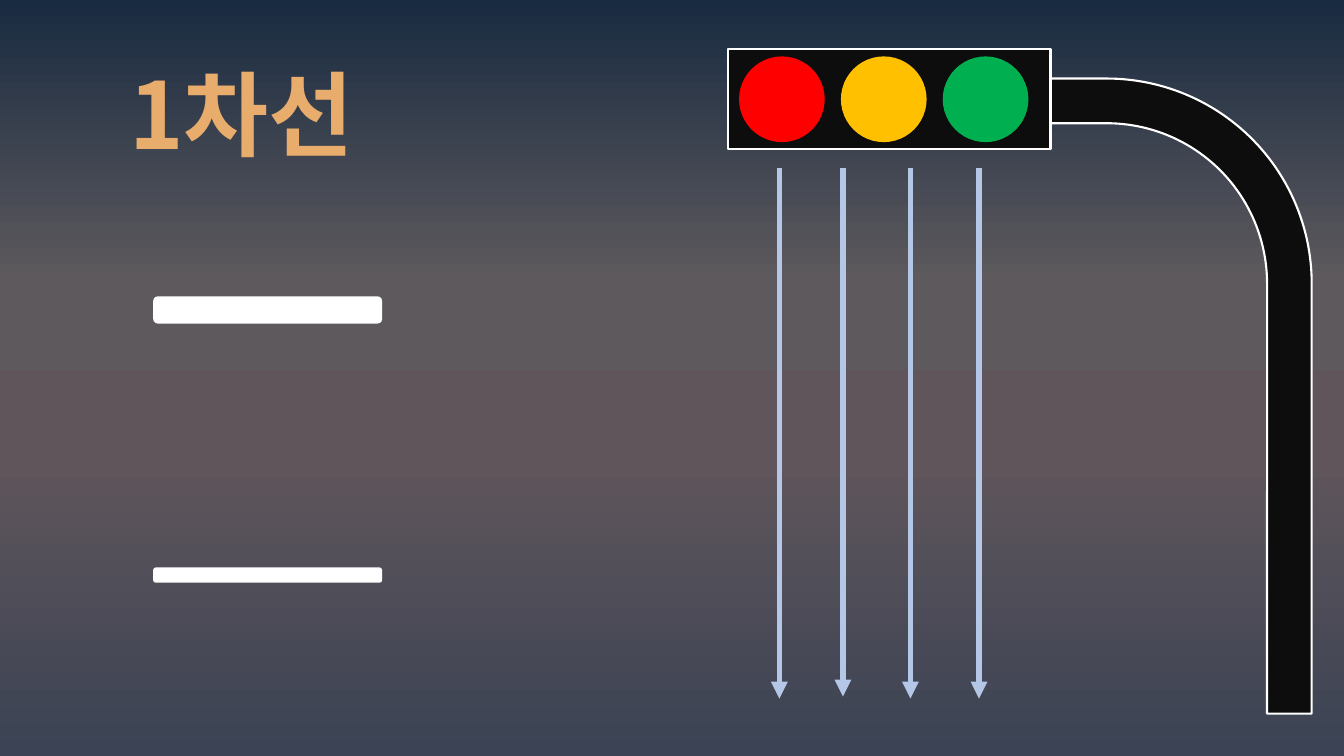
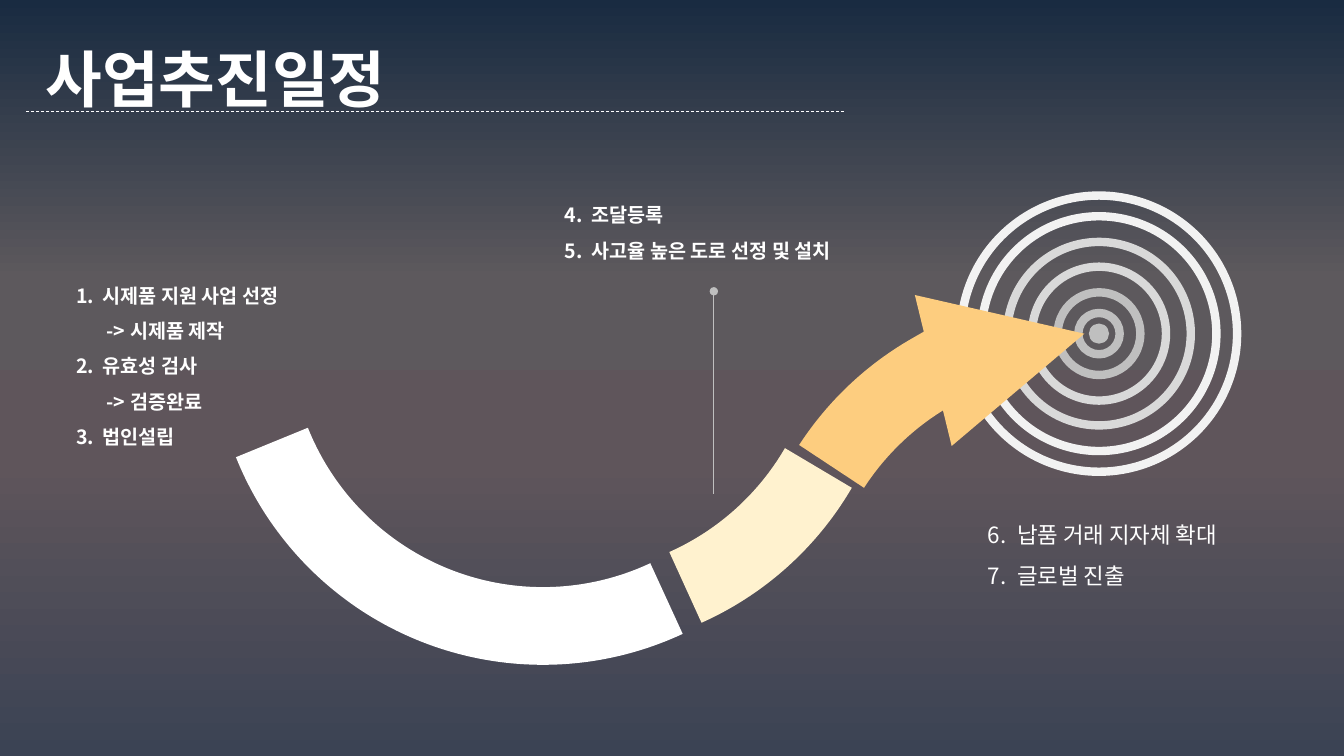
from lxml.etree import SubElement
from pptx import Presentation
from pptx.dml.color import RGBColor
from pptx.enum.dml import MSO_LINE
from pptx.enum.shapes import MSO_CONNECTOR, MSO_SHAPE
from pptx.enum.text import MSO_ANCHOR, MSO_AUTO_SIZE, PP_ALIGN
from pptx.oxml.ns import qn
from pptx.util import Inches, Pt

FONT = "Noto Sans CJK KR"
WHITE = "FFFFFF"
BLACK = "0D0D0D"
ORANGE = "E8AC6C"
GRAY = "BFBFBF"
LIGHT_BLUE = "B4C7E7"
BACKGROUND = [(0, "192B41"), (37, "5D595D"), (61, "5F555B"), (100, "3B4354")]
TITLE_ONLY = 5
ARC_UNITS_PER_DEGREE = 0.6


def color(value):
    """Turn a hex string into a colour."""
    return RGBColor.from_string(value)


def place(shape, left, top, width, height):
    """Set the position and size of a shape in inches."""
    shape.left, shape.top = Inches(left), Inches(top)
    shape.width, shape.height = Inches(width), Inches(height)


def set_background(master):
    """Give the master a vertical gradient that all slides inherit."""
    fill = master.background.fill
    fill.gradient()
    fill.gradient_angle = 270
    stops = master._element.find(".//" + qn("a:gsLst"))
    for stop in list(stops):
        stops.remove(stop)
    for position, value in BACKGROUND:
        stop = SubElement(stops, qn("a:gs"), pos=str(position * 1000))
        SubElement(stop, qn("a:srgbClr"), val=value)


def format_line(line, value, width, dash=None, end=None, end_size="med"):
    """Format an outline, with an optional dash and end mark."""
    line.color.rgb = color(value)
    line.width = Pt(width)
    if dash:
        line.dash_style = dash
    if end:
        SubElement(line._get_or_add_ln(), qn("a:tailEnd"), type=end, w=end_size, len=end_size)


def add_shape(shapes, kind, box, fill=None, adjustments=(), **line_format):
    """Add a preset shape with an optional fill and outline."""
    shape = shapes.add_shape(kind, *map(Inches, box))
    shape.shadow.inherit = False
    for index, adjustment in enumerate(adjustments):
        shape.adjustments[index] = adjustment
    if fill:
        shape.fill.solid()
        shape.fill.fore_color.rgb = color(fill)
    else:
        shape.fill.background()
    if line_format:
        format_line(shape.line, **line_format)
    else:
        shape.line.fill.background()
    return shape


def add_line(shapes, start, finish, **line_format):
    """Add a straight line between two points."""
    connector = shapes.add_connector(MSO_CONNECTOR.STRAIGHT, *map(Inches, start + finish))
    format_line(connector.line, **line_format)
    SubElement(connector._element.spPr, qn("a:effectLst"))


def add_arc(shapes, left, top, start, finish, value, **line_format):
    """Add a thick arc between two angles in degrees."""
    angles = [start * ARC_UNITS_PER_DEGREE, finish * ARC_UNITS_PER_DEGREE]
    add_shape(shapes, MSO_SHAPE.ARC, (left, top, 5.79, 5.79), adjustments=angles,
              value=value, width=55.5, **line_format)


def write_text(paragraph, text, size, value=WHITE, bold=False, align=PP_ALIGN.LEFT, spacing=1.0):
    """Write formatted text into a paragraph."""
    paragraph.alignment = align
    paragraph.line_spacing = spacing
    run = paragraph.add_run()
    run.text = text
    run.font.size = Pt(size)
    run.font.bold = bold
    run.font.color.rgb = color(value)
    run.font.name = FONT
    SubElement(run._r.get_or_add_rPr(), qn("a:ea"), typeface=FONT)


def prepare_frame(shape):
    """Set up a text frame that wraps and grows with its text."""
    frame = shape.text_frame
    frame.word_wrap = True
    frame.auto_size = MSO_AUTO_SIZE.SHAPE_TO_FIT_TEXT
    frame.vertical_anchor = MSO_ANCHOR.TOP
    return frame


def add_title(slide, text, box, **text_format):
    """Move and fill the title placeholder."""
    place(slide.shapes.title, *box)
    frame = prepare_frame(slide.shapes.title)
    write_text(frame.paragraphs[0], text, bold=True, align=PP_ALIGN.CENTER, **text_format)


def add_steps(shapes, box, steps, indent, **text_format):
    """Add a list of (start number, text), where None marks a plain indented line."""
    frame = prepare_frame(shapes.add_textbox(*map(Inches, box)))
    for index, (number, text) in enumerate(steps):
        paragraph = frame.add_paragraph() if index else frame.paragraphs[0]
        properties = paragraph._p.get_or_add_pPr()
        properties.set("marL", str(Inches(indent if number else 0.3)))
        if number:
            properties.set("indent", str(Inches(-indent)))
            SubElement(properties, qn("a:buFont"), typeface="+mj-lt")
            SubElement(properties, qn("a:buAutoNum"), type="arabicPeriod", startAt=str(number))
        write_text(paragraph, text, spacing=1.5, **text_format)


def add_traffic_light(slide):
    """Draw the signal with its pole and three lamps."""
    shapes = slide.shapes.add_group_shape().shapes
    border = {"value": WHITE, "width": 1.5}
    pole = add_shape(shapes, MSO_SHAPE.BENT_ARROW, (7.33, 0.78, 5.68, 6.3), BLACK,
                     (0.128, 0.039, 0.171, 0.358), **border)
    pole._element.spPr.find(qn("a:xfrm")).set("flipH", "1")
    add_shape(shapes, MSO_SHAPE.RECTANGLE, (7.22, 0.49, 3.2, 0.99), BLACK, **border)
    for index, lamp in enumerate(("FF0000", "FFC000", "00B050")):
        add_shape(shapes, MSO_SHAPE.OVAL, (7.33 + 1.01 * index, 0.56, 0.85, 0.85), lamp)


def add_target(slide):
    """Draw the target from concentric rings around a dot."""
    shapes = slide.shapes.add_group_shape().shapes
    center_x, center_y = 10.9, 3.31
    rings = [(0.82, 0.25, GRAY), (1.82, 0.135, "D9D9D9"), (2.74, 0.075, "F2F2F2")]
    for size, thickness, value in rings:
        box = (center_x - size / 2, center_y - size / 2, size, size)
        add_shape(shapes, MSO_SHAPE.DONUT, box, adjustments=[thickness], value=value, width=6)
    add_shape(shapes, MSO_SHAPE.OVAL, (center_x - 0.1, center_y - 0.1, 0.2, 0.2), GRAY)


def build_lane_slide(slide):
    """Build the single lane slide."""
    add_title(slide, "1차선", (0.13, 0.52, 4.53, 1.21), size=66, value=ORANGE)
    arrows = slide.shapes.add_group_shape().shapes
    for x, bottom in ((7.73, 6.93), (8.36, 6.91), (9.03, 6.93), (9.71, 6.93)):
        add_line(arrows, (x, 1.67), (x, bottom), value=LIGHT_BLUE, width=4, end="triangle")
    for top, height in ((2.94, 0.27), (5.63, 0.15)):
        add_shape(slide.shapes, MSO_SHAPE.ROUNDED_RECTANGLE, (1.52, top, 2.27, height), WHITE)
    add_traffic_light(slide)


def build_schedule_slide(slide):
    """Build the project schedule slide."""
    shapes = slide.shapes
    add_title(slide, "사업추진일정", (0.09, -0.01, 4.1, 1.07), size=44, spacing=1.5)
    add_line(shapes, (0.26, 1.1), (8.37, 1.1), value=WHITE, width=0.5, dash=MSO_LINE.DASH)
    add_target(slide)
    add_arc(shapes, 2.49, 0.42, 64.96, 158.2, WHITE)
    add_arc(shapes, 2.72, 0.29, 30.23, 65.88, "FFF2CF")
    add_line(shapes, (7.08, 4.9), (7.08, 2.89), value=GRAY, width=0.5, end="oval")
    add_arc(shapes, 7.78, 3.31, 213.03, 271.57, "FDCD7F", end="triangle", end_size="sm")
    add_steps(shapes, (0.66, 2.65, 2.43, 2.1),
              [(1, "시제품 지원 사업 선정"), (None, "-> 시제품 제작"), (2, "유효성 검사"),
               (None, "-> 검증완료"), (3, "법인설립")], indent=0.26, size=14, bold=True)
    add_steps(shapes, (5.5, 1.85, 3.15, 1.03),
              [(4, "조달등록"), (4, "사고율 높은 도로 선정 및 설치")],
              indent=0.27, size=14, bold=True)
    add_steps(shapes, (9.7, 4.99, 2.76, 0.88),
              [(6, "납품 거래 지자체 확대"), (6, "글로벌 진출")], indent=0.29, size=16)


def main():
    """Build and save the presentation."""
    presentation = Presentation()
    presentation.slide_width, presentation.slide_height = Inches(13.33), Inches(7.5)
    set_background(presentation.slide_master)
    for build in (build_lane_slide, build_schedule_slide):
        build(presentation.slides.add_slide(presentation.slide_layouts[TITLE_ONLY]))
    presentation.save("out.pptx")


if __name__ == "__main__":
    main()
